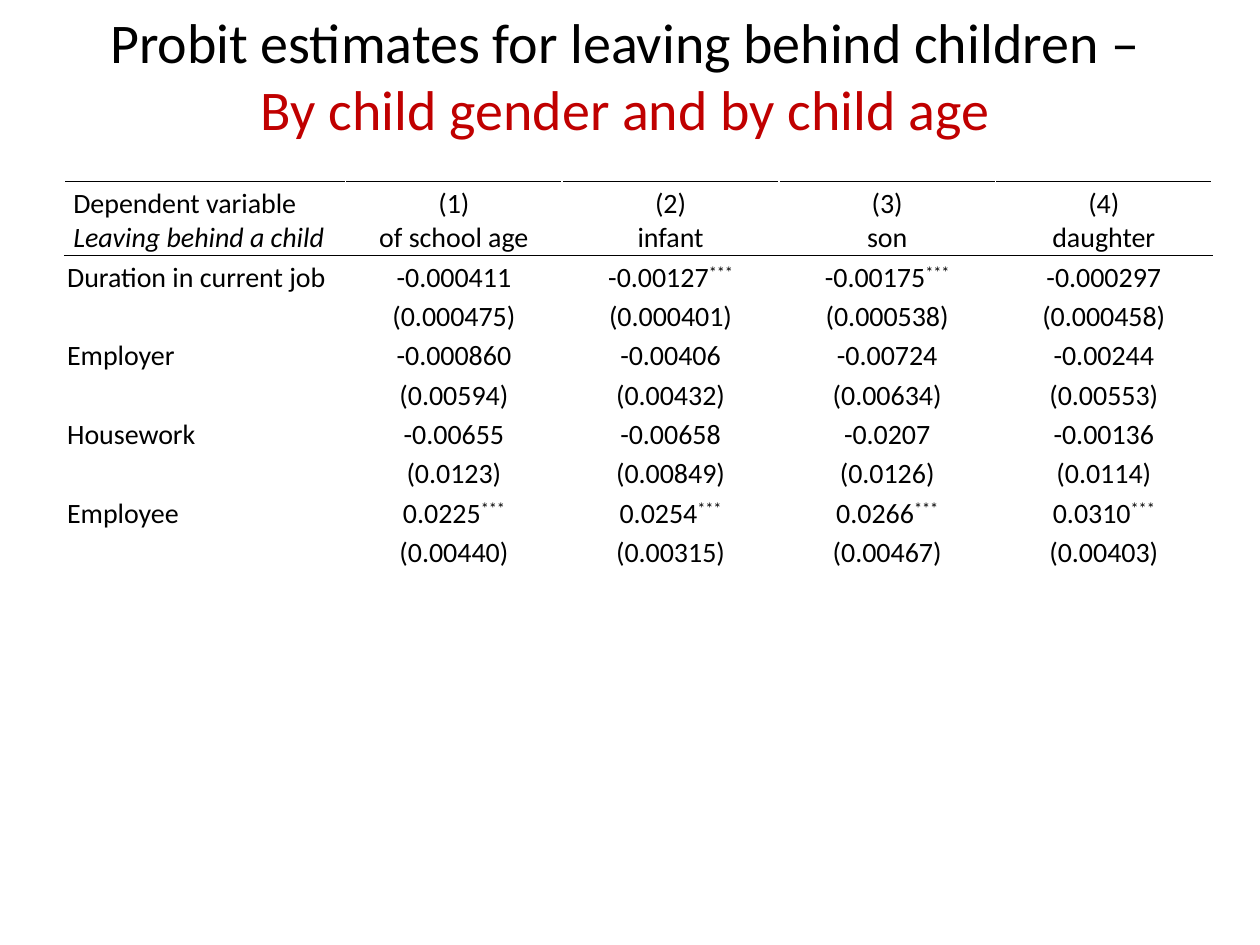
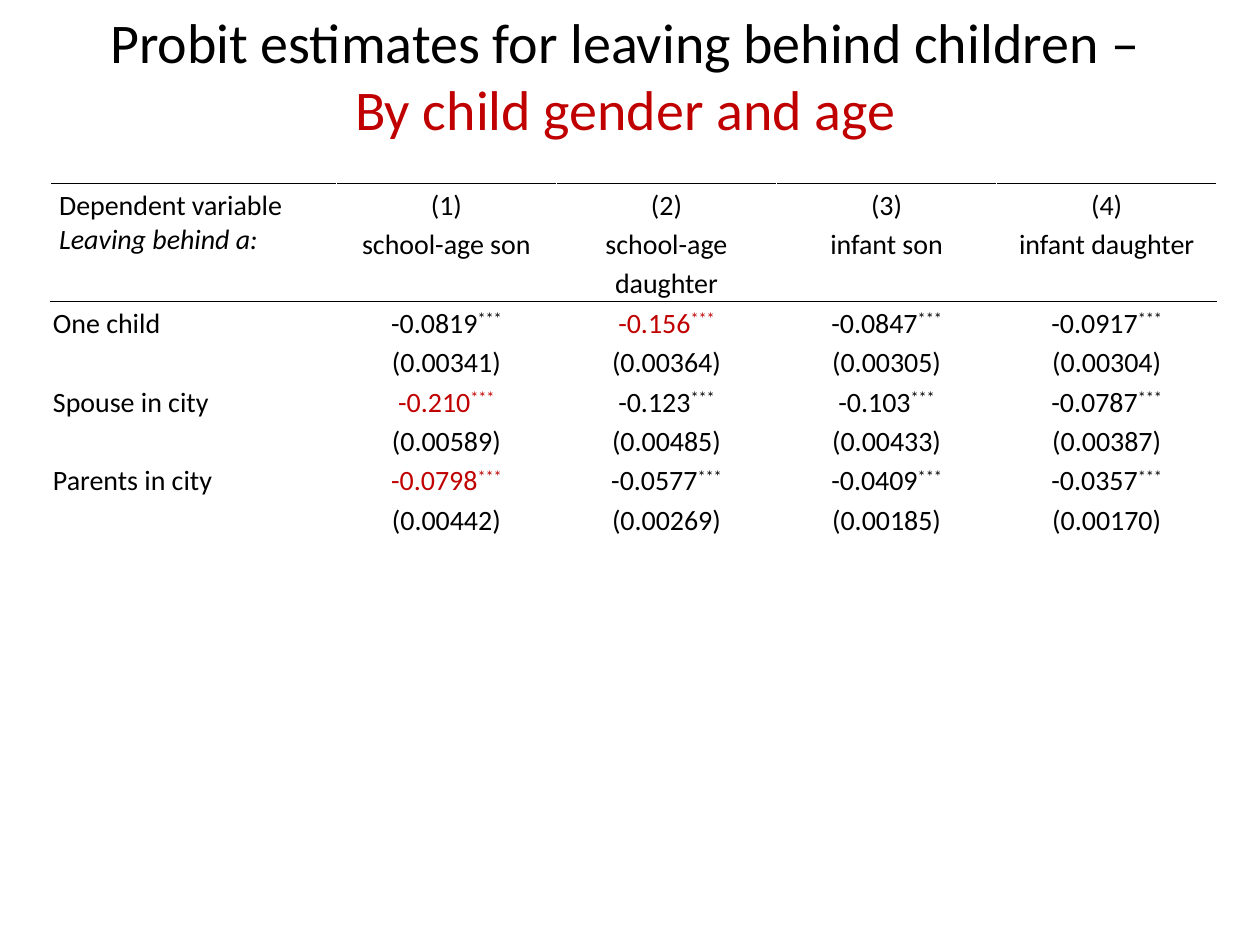
import pptx
import pptx.dml.color
import pptx.enum.text
import pptx.oxml
import pptx.oxml.ns
import pptx.util

Pt = pptx.util.Pt
ALIGN = pptx.enum.text.PP_ALIGN
ANCHOR = pptx.enum.text.MSO_ANCHOR

# Content: each estimate is (coefficient with stars, standard error)
TITLE_START = "Probit estimates for leaving behind children –"
SLIDES = [
    {
        "title_end": "By child gender and by child age",
        "outcome": "Leaving behind a child",
        "groups": ["of school age", "infant", "son", "daughter"],
        "rows": [
            ("Duration in current job", [
                ("-0.000411", "(0.000475)"), ("-0.00127***", "(0.000401)"),
                ("-0.00175***", "(0.000538)"), ("-0.000297", "(0.000458)")]),
            ("Employer", [
                ("-0.000860", "(0.00594)"), ("-0.00406", "(0.00432)"),
                ("-0.00724", "(0.00634)"), ("-0.00244", "(0.00553)")]),
            ("Housework", [
                ("-0.00655", "(0.0123)"), ("-0.00658", "(0.00849)"),
                ("-0.0207", "(0.0126)"), ("-0.00136", "(0.0114)")]),
            ("Employee", [
                ("0.0225***", "(0.00440)"), ("0.0254***", "(0.00315)"),
                ("0.0266***", "(0.00467)"), ("0.0310***", "(0.00403)")]),
        ],
        "highlights": [],
        "left": 36.9, "top": 103.8, "label_width": 160.6, "value_width": 123.8,
        "group_height": 19, "group_spacing": 1, "header_inset": 5,
    },
    {
        "title_end": "By child gender and age",
        "outcome": "Leaving behind a:",
        "groups": ["school-age son", "school-age daughter", "infant son", "infant daughter"],
        "rows": [
            ("One child", [
                ("-0.0819***", "(0.00341)"), ("-0.156***", "(0.00364)"),
                ("-0.0847***", "(0.00305)"), ("-0.0917***", "(0.00304)")]),
            ("Spouse in city", [
                ("-0.210***", "(0.00589)"), ("-0.123***", "(0.00485)"),
                ("-0.103***", "(0.00433)"), ("-0.0787***", "(0.00387)")]),
            ("Parents in city", [
                ("-0.0798***", "(0.00442)"), ("-0.0577***", "(0.00269)"),
                ("-0.0409***", "(0.00185)"), ("-0.0357***", "(0.00170)")]),
        ],
        "highlights": ["-0.156***", "-0.210***", "-0.0798***"],
        "left": 28.8, "top": 104.8, "label_width": 163.4, "value_width": 125.8,
        "group_height": 44, "group_spacing": 1.15, "header_inset": 1.5,
    },
]

# Shared style
FONT = "Calibri"
BLACK, WHITE, RED = "000000", "FFFFFF", "C00000"
TITLE_SIZE, TABLE_SIZE = 32, 16
WIDE, NARROW = 5, 1.5
SPACING = 1.15
NUMBER_HEIGHT, ESTIMATE_HEIGHT = 22, 44


def rgb(color):
    return pptx.dml.color.RGBColor.from_string(color)


def add_run(p, text, size, color=BLACK, italic=False, superscript=False):
    r = p.add_run()
    r.text = text
    r.font.name, r.font.size, r.font.italic = FONT, Pt(size), italic
    r.font.color.rgb = rgb(color)
    if superscript:
        r.font._element.set("baseline", "30000")


def add_title(slide, ending):
    sp = slide.shapes.title
    sp.left, sp.top, sp.width, sp.height = Pt(22.3), Pt(0), Pt(670.3), Pt(85)
    tf = sp.text_frame
    tf.word_wrap = True
    tf.auto_size = pptx.enum.text.MSO_AUTO_SIZE.NONE
    tf.vertical_anchor = ANCHOR.MIDDLE
    p = tf.paragraphs[0]
    p.alignment = ALIGN.CENTER
    # The first line sits a little left of centre
    pPr = p._p.get_or_add_pPr()
    pPr.set("marL", "0")
    pPr.set("indent", str(Pt(-30)))
    add_run(p, TITLE_START, TITLE_SIZE)
    p.add_line_break()
    add_run(p, ending, TITLE_SIZE, RED)


def set_borders(cell, top, bottom):
    tcPr = cell._tc.get_or_add_tcPr()
    sides = [("lnL", WHITE), ("lnR", WHITE), ("lnT", top), ("lnB", bottom)]
    for i, (tag, color) in enumerate(sides):
        tcPr.insert(i, pptx.oxml.parse_xml(
            f'<a:{tag} {pptx.oxml.ns.nsdecls("a")} w="{Pt(1)}"><a:solidFill>'
            f'<a:srgbClr val="{color}"/></a:solidFill></a:{tag}>'))


def format_cell(cell, inset, centred, spacing=SPACING, top=WHITE, bottom=WHITE):
    cell.fill.solid()
    cell.fill.fore_color.rgb = rgb(WHITE)
    set_borders(cell, top, bottom)
    cell.margin_left = cell.margin_right = Pt(inset)
    cell.margin_top = cell.margin_bottom = Pt(0)
    cell.vertical_anchor = ANCHOR.TOP
    p = cell.text_frame.paragraphs[0]
    p.alignment = ALIGN.CENTER if centred else ALIGN.LEFT
    p.line_spacing = spacing
    return p


def add_estimate(p, coefficient, error, color):
    number = coefficient.rstrip("*")
    stars = coefficient[len(number):]
    add_run(p, number, TABLE_SIZE, color)
    if stars:
        add_run(p, stars, TABLE_SIZE, color, superscript=True)
    p.add_line_break()
    add_run(p, error, TABLE_SIZE)


def add_estimates_table(slide, data):
    heights = [NUMBER_HEIGHT, data["group_height"]] + [ESTIMATE_HEIGHT] * len(data["rows"])
    widths = [data["label_width"]] + [data["value_width"]] * len(data["groups"])
    table = slide.shapes.add_table(
        len(heights), len(widths), Pt(data["left"]), Pt(data["top"]),
        Pt(sum(widths)), Pt(sum(heights))).table
    table.first_row = table.horz_banding = False
    for row, height in zip(table.rows, heights):
        row.height = Pt(height)
    for column, width in zip(table.columns, widths):
        column.width = Pt(width)

    # Header: column numbers above the groups, between two rules
    p = format_cell(table.cell(0, 0), WIDE, False, top=BLACK)
    add_run(p, "Dependent variable", TABLE_SIZE)
    p = format_cell(table.cell(1, 0), WIDE, False, spacing=1, bottom=BLACK)
    add_run(p, data["outcome"], TABLE_SIZE, italic=True)
    for j, group in enumerate(data["groups"], 1):
        p = format_cell(table.cell(0, j), data["header_inset"], True, top=BLACK)
        add_run(p, f"({j})", TABLE_SIZE)
        p = format_cell(table.cell(1, j), data["header_inset"], True,
                        spacing=data["group_spacing"], bottom=BLACK)
        add_run(p, group, TABLE_SIZE)

    # Estimates
    for i, (label, estimates) in enumerate(data["rows"], 2):
        top = BLACK if i == 2 else WHITE
        p = format_cell(table.cell(i, 0), NARROW, False, top=top)
        add_run(p, label, TABLE_SIZE)
        for j, (coefficient, error) in enumerate(estimates, 1):
            p = format_cell(table.cell(i, j), WIDE, True, top=top)
            color = RED if coefficient in data["highlights"] else BLACK
            add_estimate(p, coefficient, error, color)


def main():
    prs = pptx.Presentation()
    prs.slide_width, prs.slide_height = Pt(720), Pt(540)
    for data in SLIDES:
        slide = prs.slides.add_slide(prs.slide_layouts[5])
        add_title(slide, data["title_end"])
        add_estimates_table(slide, data)
    prs.save("out.pptx")


if __name__ == "__main__":
    main()
